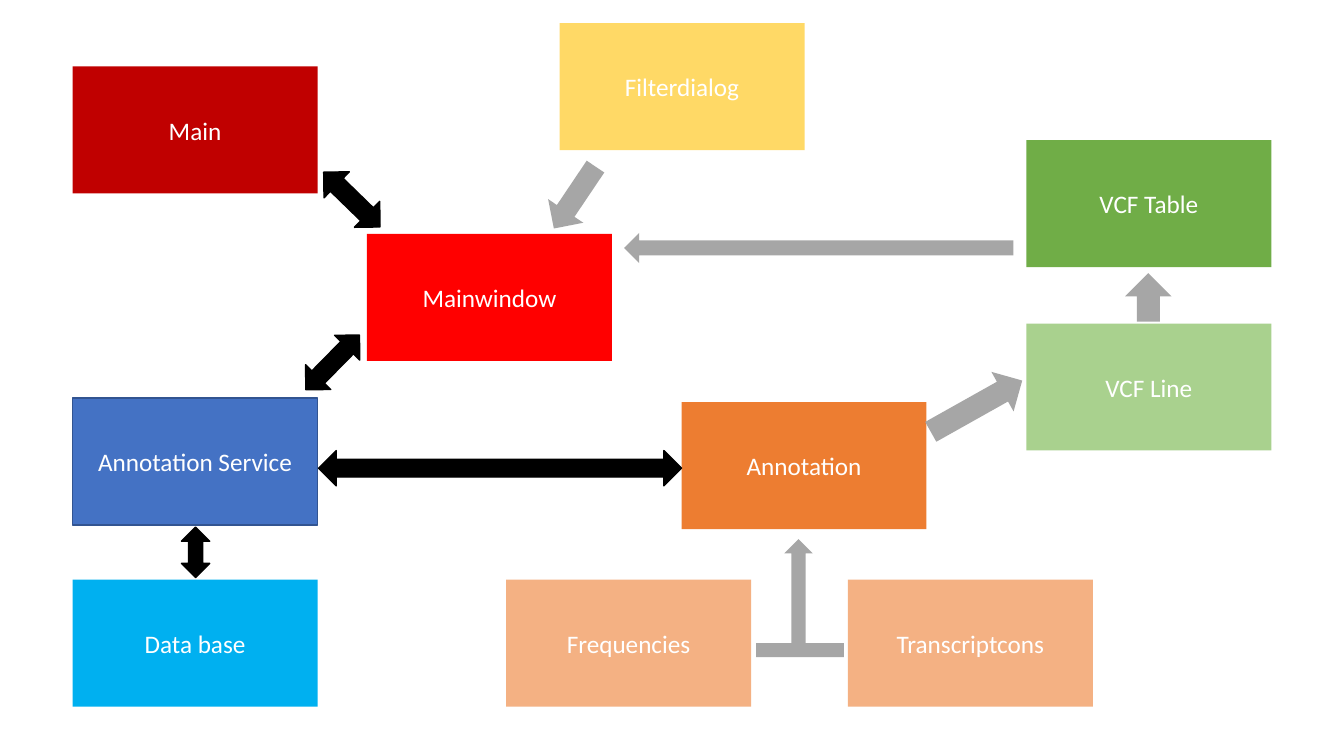
from pptx import Presentation
from pptx.dml.color import RGBColor
from pptx.enum.shapes import MSO_SHAPE
from pptx.enum.text import MSO_ANCHOR, PP_ALIGN
from pptx.util import Inches, Pt

RECT = MSO_SHAPE.RECTANGLE
UP = MSO_SHAPE.UP_ARROW
DOWN = MSO_SHAPE.DOWN_ARROW
LEFT = MSO_SHAPE.LEFT_ARROW
ACROSS = MSO_SHAPE.LEFT_RIGHT_ARROW
UPDOWN = MSO_SHAPE.UP_DOWN_ARROW
MIDDLE = MSO_ANCHOR.MIDDLE
CENTER = PP_ALIGN.CENTER

WHITE = RGBColor(0xFF, 0xFF, 0xFF)
BLACK = RGBColor(0x00, 0x00, 0x00)
GRAY = RGBColor(0xA6, 0xA6, 0xA6)
YELLOW = RGBColor(0xFF, 0xD9, 0x66)
SKY = RGBColor(0x00, 0xB0, 0xF0)
PEACH = RGBColor(0xF4, 0xB1, 0x83)
BLUE = RGBColor(0x44, 0x72, 0xC4)
NAVY = RGBColor(0x32, 0x54, 0x91)
ORANGE = RGBColor(0xED, 0x7D, 0x31)
LIME = RGBColor(0xA9, 0xD1, 0x8E)
GREEN = RGBColor(0x70, 0xAD, 0x47)
MAROON = RGBColor(0xC0, 0x00, 0x00)
RED = RGBColor(0xFF, 0x00, 0x00)

COLS, ROWS = 13.33, 7.5
NODE_W, NODE_H = 2.43, 1.26
EDGE, RIGHT, BASE = 0.72, 10.18, 5.75

NODES = [
    ("Filterdialog", 5.55, 0.23, YELLOW, None),
    ("Data base", EDGE, BASE, SKY, None),
    ("Transcriptcons", 8.41, BASE, PEACH, None),
    ("Frequencies", 5.02, BASE, PEACH, None),
    ("Annotation Service", EDGE, 3.95, BLUE, NAVY),
    ("Annotation", 6.76, 3.99, ORANGE, None),
    ("VCF Line", RIGHT, 3.21, LIME, None),
    ("VCF Table", RIGHT, 1.39, GREEN, None),
    ("Main", EDGE, 0.66, MAROON, None),
    ("Mainwindow", 3.64, 2.32, RED, None),
]

ARROWS = [
    (UP, (11.16, 2.71, 0.46, 0.48), 0, GRAY, None),
    (UP, (9.46, 3.51, 0.45, 1.04), 60.7, GRAY, None),
    (ACROSS, (2.92, 3.42, 0.76, 0.35), 314.5, BLACK, BLACK),
    (UPDOWN, (1.8, 5.23, 0.28, 0.5), 0, BLACK, BLACK),
    (LEFT, (6.19, 2.31, 3.86, 0.3), 0, GRAY, None),
    (DOWN, (5.49, 1.59, 0.42, 0.74), 33.9, GRAY, None),
    (ACROSS, (3.16, 4.47, 3.6, 0.35), 0, BLACK, BLACK),
    (ACROSS, (3.1, 1.8, 0.78, 0.36), 44.2, BLACK, BLACK),
]


def add_part(shapes, kind, box, fill, line=None, turn=0):
    """Add a flat shape in a box given in grid columns and rows."""
    part = shapes.add_shape(kind, *[Inches(n) for n in box])
    part.shadow.inherit = False
    part.fill.solid()
    part.fill.fore_color.rgb = fill
    if line is None:
        part.line.fill.background()
    else:
        part.line.color.rgb = line
        part.line.width = Pt(1)
    part.rotation = turn
    return part


def add_node(shapes, label, box, fill, line):
    """Add a class box with its centred name."""
    node = add_part(shapes, RECT, box, fill, line)
    frame = node.text_frame
    frame.word_wrap = True
    frame.vertical_anchor = MIDDLE
    frame.text = label
    para = frame.paragraphs[0]
    para.alignment = CENTER
    font = para.runs[0].font
    font.name = "Calibri"
    font.size = Pt(18)
    font.color.rgb = WHITE


def add_merge(shapes, box):
    """Add a grouped bar and upward arrow that fill the box."""
    left, top, width, height = box
    bar, stem = 0.14, 0.28
    group = shapes.add_group_shape().shapes
    add_part(group, RECT, (left, top + height - bar, width, bar), GRAY)
    add_part(group, UP, (left + stem, top, stem, height - bar), GRAY)


def add_chart_map(slide):
    """Place the class boxes and the arrows between them."""
    shapes = slide.shapes
    for label, left, top, fill, line in NODES:
        add_node(shapes, label, (left, top, NODE_W, NODE_H), fill, line)
    for kind, box, turn, fill, line in ARROWS:
        add_part(shapes, kind, box, fill, line, turn)
    add_merge(shapes, (7.5, 5.35, 0.87, 1.17))


def main():
    """Build the class diagram and save it."""
    deck = Presentation()
    deck.slide_width = Inches(COLS)
    deck.slide_height = Inches(ROWS)
    add_chart_map(deck.slides.add_slide(deck.slide_layouts[6]))
    deck.save("out.pptx")


if __name__ == "__main__":
    main()
